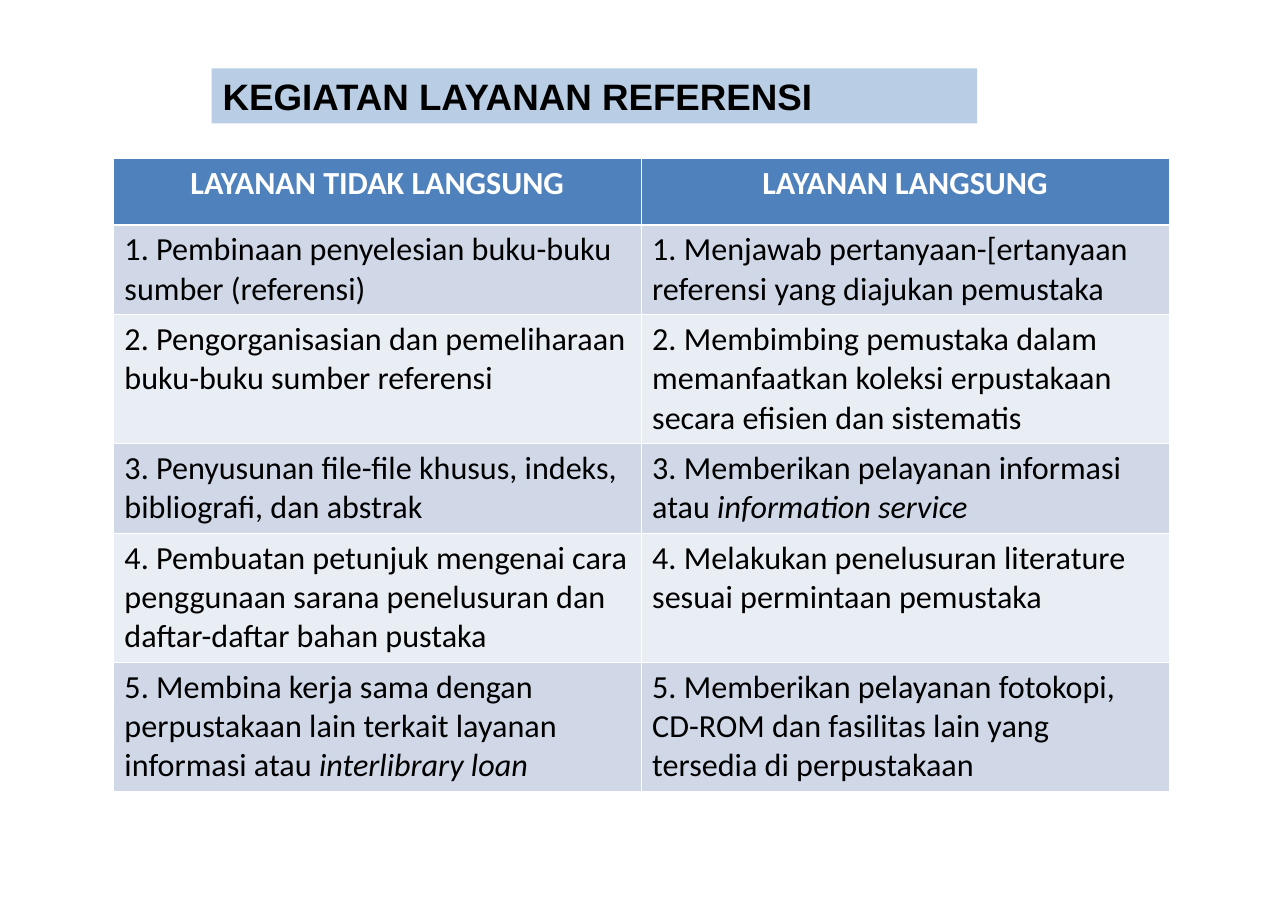
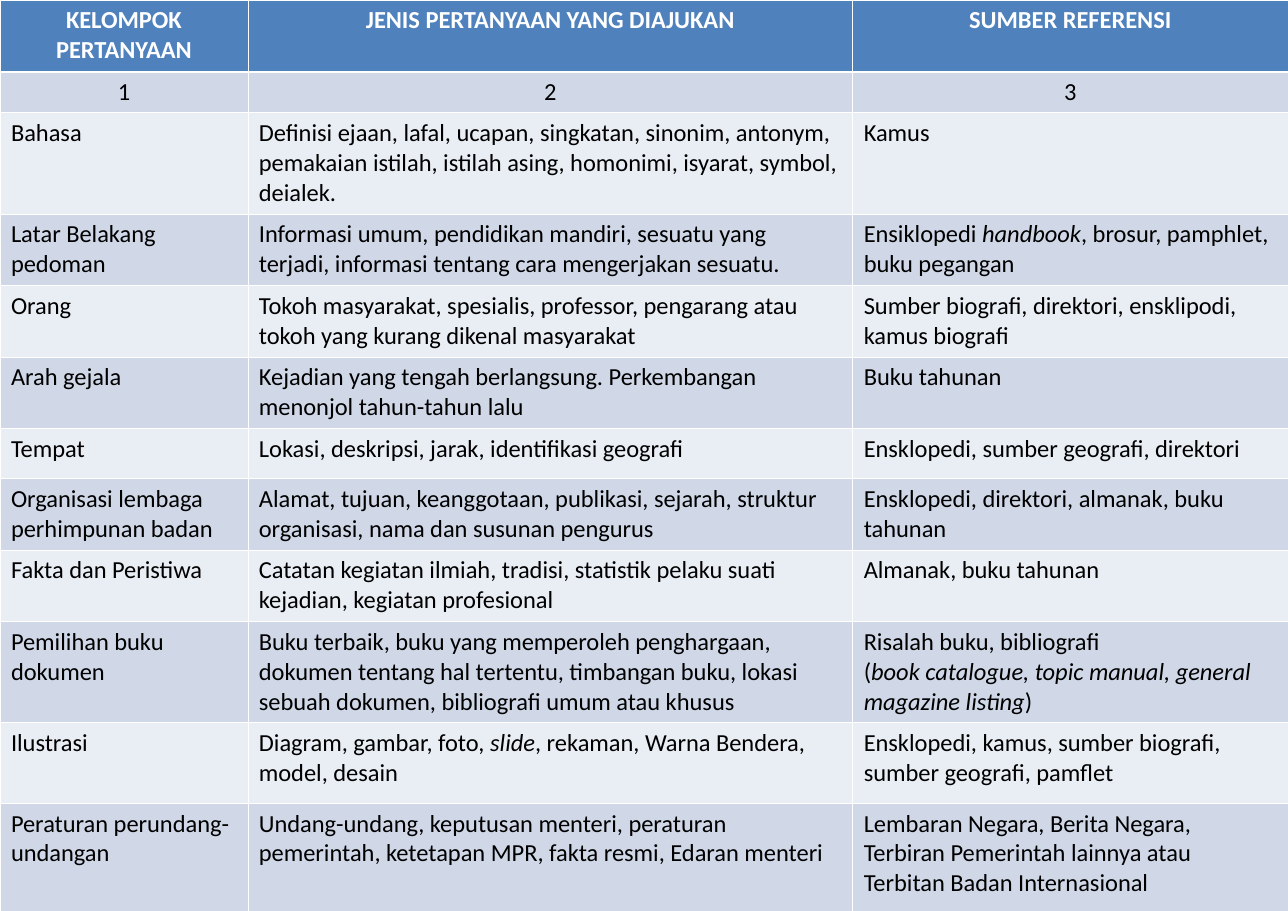
from pptx import Presentation
from pptx.dml.color import RGBColor
from pptx.enum.text import MSO_ANCHOR, MSO_AUTO_SIZE, PP_ALIGN
from pptx.oxml import parse_xml
from pptx.oxml.ns import nsdecls
from pptx.util import Inches, Pt

# Shared style
COLORS = {"title_band": "B9CDE5", "header": "4F81BD", "odd": "D0D8E8",
          "even": "E9EDF4", "white": "FFFFFF", "black": "000000"}
TITLE_FONT, BODY_FONT = "Arial", "Calibri"
THIN, THICK = 0.45, 1.47
TITLE_ONLY, BLANK = 5, 6

# In cell texts, *asterisks* mark italics and a newline starts a paragraph.
SERVICES = [
    ("LAYANAN TIDAK LANGSUNG", "LAYANAN LANGSUNG"),
    ("1. Pembinaan penyelesian buku-buku sumber (referensi)",
     "1. Menjawab pertanyaan-[ertanyaan referensi yang diajukan pemustaka"),
    ("2. Pengorganisasian dan pemeliharaan buku-buku sumber referensi",
     "2. Membimbing pemustaka dalam memanfaatkan koleksi erpustakaan secara efisien dan sistematis"),
    ("3. Penyusunan file-file khusus, indeks, bibliografi, dan abstrak",
     "3. Memberikan pelayanan informasi atau *information service*"),
    ("4. Pembuatan petunjuk mengenai cara penggunaan sarana penelusuran dan daftar-daftar bahan pustaka",
     "4. Melakukan penelusuran literature sesuai permintaan pemustaka"),
    ("5. Membina kerja sama dengan perpustakaan lain terkait layanan informasi atau *interlibrary loan*",
     "5. Memberikan pelayanan fotokopi, CD-ROM dan fasilitas lain yang tersedia di perpustakaan"),
]
QUESTIONS = [
    ("KELOMPOK PERTANYAAN", "JENIS PERTANYAAN YANG DIAJUKAN", "SUMBER REFERENSI"),
    ("1", "2", "3"),
    ("Bahasa",
     "Definisi ejaan, lafal, ucapan, singkatan, sinonim, antonym, pemakaian istilah, "
     "istilah asing, homonimi, isyarat, symbol, deialek.",
     "Kamus"),
    ("Latar Belakang pedoman",
     "Informasi umum, pendidikan mandiri, sesuatu yang terjadi, informasi tentang cara mengerjakan sesuatu.",
     "Ensiklopedi *handbook*, brosur, pamphlet, buku pegangan"),
    ("Orang",
     "Tokoh masyarakat, spesialis, professor, pengarang atau tokoh yang kurang dikenal masyarakat",
     "Sumber biografi, direktori, ensklipodi, kamus biografi"),
    ("Arah gejala",
     "Kejadian yang tengah berlangsung. Perkembangan menonjol tahun-tahun lalu",
     "Buku tahunan"),
    ("Tempat",
     "Lokasi, deskripsi, jarak, identifikasi geografi",
     "Ensklopedi, sumber geografi, direktori"),
    ("Organisasi lembaga perhimpunan badan",
     "Alamat, tujuan, keanggotaan, publikasi, sejarah, struktur organisasi, nama dan susunan pengurus",
     "Ensklopedi, direktori, almanak, buku tahunan"),
    ("Fakta dan Peristiwa",
     "Catatan kegiatan ilmiah, tradisi, statistik pelaku suati kejadian, kegiatan profesional",
     "Almanak, buku tahunan"),
    ("Pemilihan buku dokumen",
     "Buku terbaik, buku yang memperoleh penghargaan, dokumen tentang hal tertentu, "
     "timbangan buku, lokasi sebuah dokumen, bibliografi umum atau khusus",
     "Risalah buku, bibliografi\n(*book catalogue, topic manual, general magazine listing*)"),
    ("Ilustrasi",
     "Diagram, gambar, foto, *slide*, rekaman, Warna Bendera, model, desain",
     "Ensklopedi, kamus, sumber biografi, sumber geografi, pamflet"),
    ("Peraturan perundang-undangan",
     "Undang-undang, keputusan menteri, peraturan pemerintah, ketetapan MPR, fakta resmi, Edaran menteri",
     "Lembaran Negara, Berita Negara, Terbiran Pemerintah lainnya atau Terbitan Badan Internasional"),
]


def rgb(name):
    return RGBColor.from_string(COLORS[name])


def write_text(tf, text, size, font=BODY_FONT, color="black", bold=False, align=PP_ALIGN.LEFT):
    """Fill a text frame with formatted paragraphs."""
    for i, line in enumerate(text.split("\n")):
        p = tf.add_paragraph() if i else tf.paragraphs[0]
        p.alignment = align
        for j, part in enumerate(line.split("*")):
            if not part:
                continue
            r = p.add_run()
            r.text = part
            r.font.name, r.font.size = font, Pt(size)
            r.font.bold, r.font.italic = bold, j % 2 == 1
            r.font.color.rgb = rgb(color)


def add_title(s, text, left, top, width, height):
    sp = s.shapes.title
    sp.left, sp.top, sp.width, sp.height = map(Inches, (left, top, width, height))
    sp.fill.solid()
    sp.fill.fore_color.rgb = rgb("title_band")
    tf = sp.text_frame
    tf.word_wrap = True
    tf.auto_size = MSO_AUTO_SIZE.NONE
    tf.vertical_anchor = MSO_ANCHOR.TOP
    write_text(tf, text, 24, font=TITLE_FONT, bold=True)


def set_borders(cell, top, bottom):
    """Draw white cell borders; the line elements come before the fill."""
    widths = {"lnL": THIN, "lnR": THIN, "lnT": top, "lnB": bottom}
    for i, (tag, width) in enumerate(widths.items()):
        ln = parse_xml(f'<a:{tag} {nsdecls("a")} w="{Pt(width)}"><a:solidFill>'
                       f'<a:srgbClr val="{COLORS["white"]}"/></a:solidFill></a:{tag}>')
        cell._tc.get_or_add_tcPr().insert(i, ln)


def add_banded_table(s, rows, left, top, col_widths, row_heights, size, centered_rows=1):
    frame = s.shapes.add_table(len(rows), len(col_widths), Inches(left), Inches(top),
                               Inches(sum(col_widths)), Inches(sum(row_heights)))
    table = frame.table
    for column, width in zip(table.columns, col_widths):
        column.width = Inches(width)
    for i, (texts, height) in enumerate(zip(rows, row_heights)):
        table.rows[i].height = Inches(height)
        header = i == 0
        band = "header" if header else "odd" if i % 2 else "even"
        for j, text in enumerate(texts):
            cell = table.cell(i, j)
            cell.fill.solid()
            cell.fill.fore_color.rgb = rgb(band)
            set_borders(cell, THICK if i == 1 else THIN, THICK if header else THIN)
            write_text(cell.text_frame, text, size, bold=header,
                       color="white" if header else "black",
                       align=PP_ALIGN.CENTER if i < centered_rows else PP_ALIGN.LEFT)


def main():
    prs = Presentation()
    prs.slide_width, prs.slide_height = Inches(11.69), Inches(8.27)

    # Reference service activities
    s = prs.slides.add_slide(prs.slide_layouts[TITLE_ONLY])
    add_title(s, "KEGIATAN LAYANAN REFERENSI", 1.92, 0.62, 6.95, 0.5)
    add_banded_table(s, SERVICES, 1.03, 1.44, [4.79] * 2,
                     [0.6, 0.8, 1.15, 0.8, 1.15, 1.15], 21)

    # Question groups and their sources
    s = prs.slides.add_slide(prs.slide_layouts[BLANK])
    add_banded_table(s, QUESTIONS, 0, 0, [2.25, 5.49, 3.95],
                     [0.65, 0.37, 0.92, 0.65, 0.65, 0.65, 0.45, 0.65, 0.65, 0.92, 0.73, 1],
                     16, centered_rows=2)

    prs.save("out.pptx")


if __name__ == "__main__":
    main()
